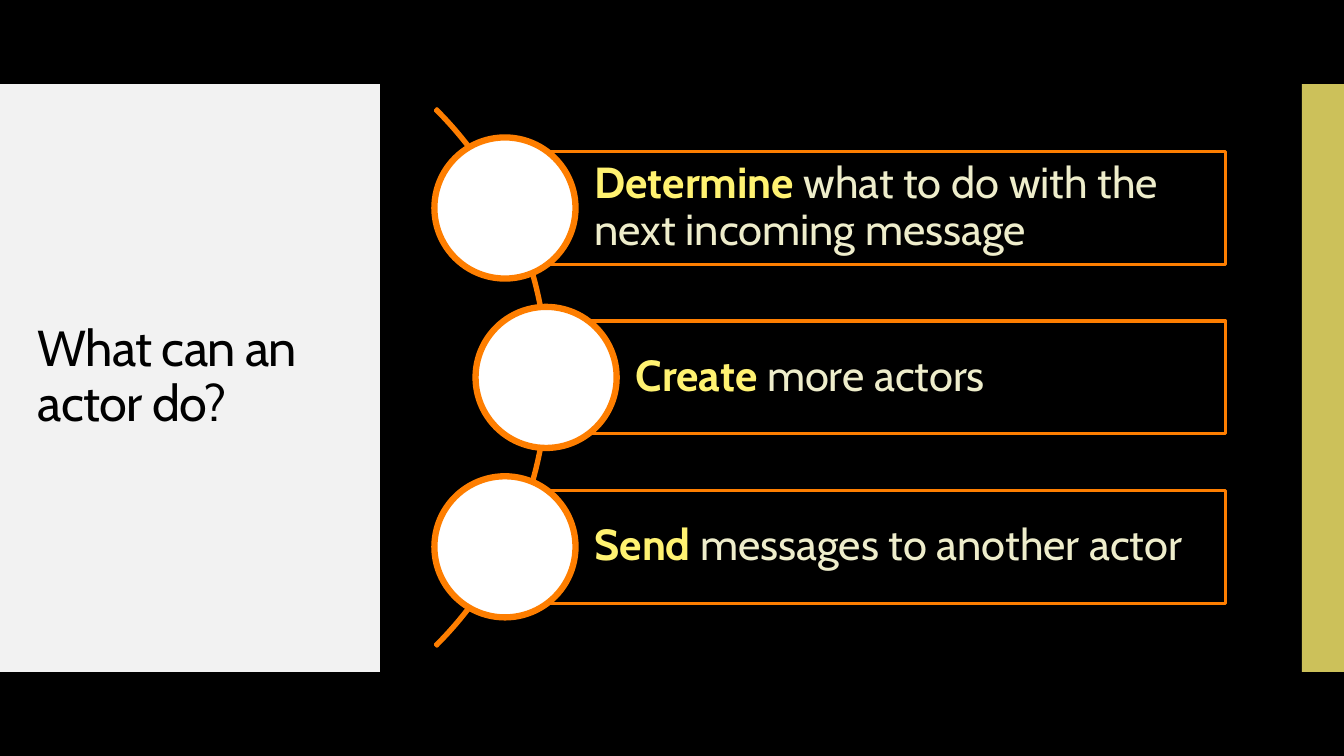
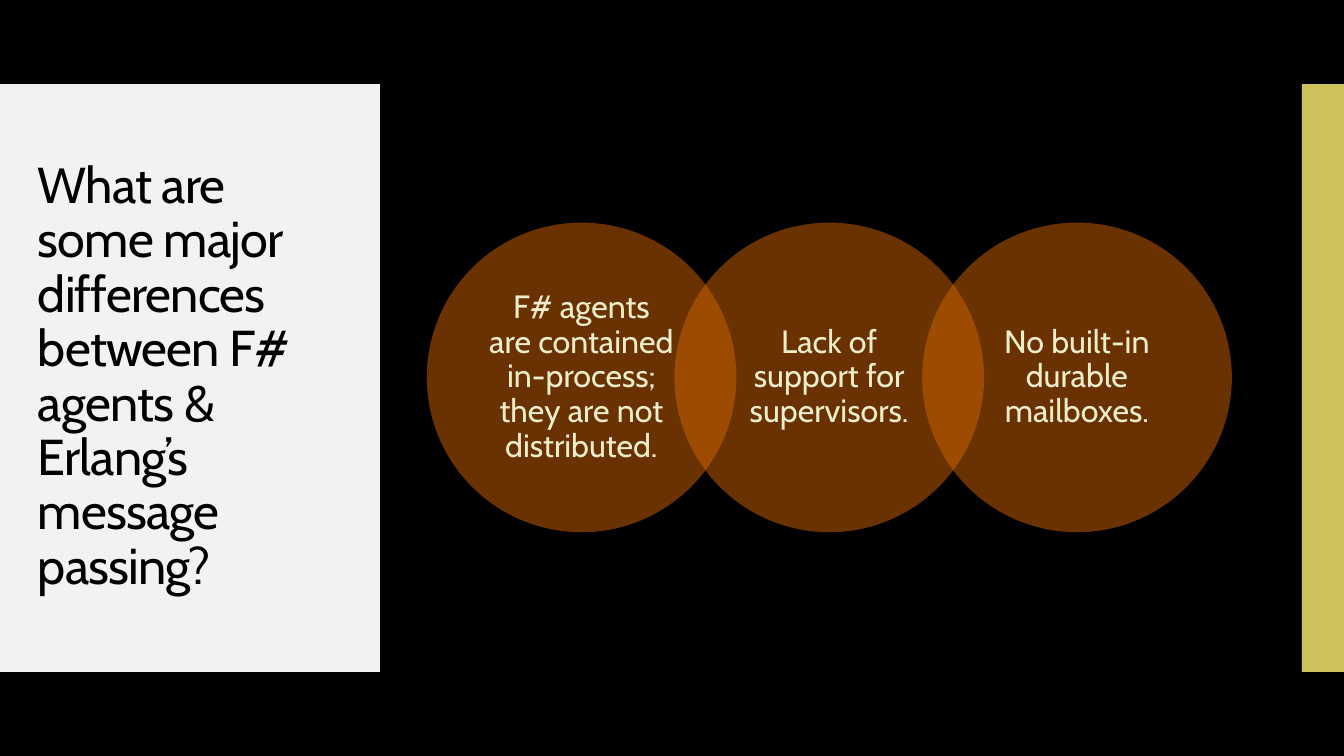
from dataclasses import dataclass

from pptx import Presentation
from pptx.dml.color import RGBColor
from pptx.enum import shapes, text
from pptx.oxml import ns, xmlchemy
from pptx.util import Pt


@dataclass(frozen=True)
class Theme:
    font: str = "Cabin"
    black: str = "000000"
    white: str = "FFFFFF"
    yellow: str = "FFF271"
    cream: str = "EEEDCB"
    orange: str = "FE7E00"
    rust: str = "D26400"
    title_size: float = 36
    row_size: float = 31
    disc_size: float = 23
    thin: float = 2.25
    thick: float = 4.5


THEME = Theme()
WIDTH, HEIGHT = 960, 540
MIDDLE = 269.6
BAND_TOP, BAND_HEIGHT = 60, 420
PANEL_WIDTH, STRIPE_WIDTH = 271.4, 30

ACTIONS = [
    ("Determine ", "what to do with the next incoming message"),
    ("Create ", "more actors"),
    ("Send ", "messages to another actor"),
]
DIFFERENCES = [
    "F# agents are contained in-process; they are not distributed.",
    "Lack of support for supervisors.",
    "No built-in durable mailboxes.",
]


def add_figure(slide, preset, box, fill=None, opacity=100, line=None, weight=0):
    figure = slide.shapes.add_shape(preset, *map(Pt, box))
    figure.shadow.inherit = False
    if fill:
        figure.fill.solid()
        figure.fill.fore_color.rgb = RGBColor.from_string(fill)
        if opacity < 100:
            tint = figure._element.spPr.find(".//" + ns.qn("a:srgbClr"))
            alpha = xmlchemy.OxmlElement("a:alpha")
            alpha.set("val", str(opacity * 1000))
            tint.append(alpha)
    else:
        figure.fill.background()
    if line:
        figure.line.color.rgb = RGBColor.from_string(line)
        figure.line.width = Pt(weight)
    else:
        figure.line.fill.background()
    return figure


def write(holder, runs, size, insets, align=text.PP_ALIGN.LEFT, tracking=0):
    frame = holder.text_frame
    frame.word_wrap = True
    frame.vertical_anchor = text.MSO_ANCHOR.MIDDLE
    (frame.margin_left, frame.margin_top,
     frame.margin_right, frame.margin_bottom) = map(Pt, insets)
    paragraph = frame.paragraphs[0]
    paragraph.alignment = align
    paragraph.line_spacing = 0.9
    for words, color, bold in runs:
        run = paragraph.add_run()
        run.text = words
        run.font.name = THEME.font
        run.font.size = Pt(size)
        run.font.bold = bold
        run.font.color.rgb = RGBColor.from_string(color)
        if tracking:
            run.font._element.set("spc", str(round(tracking * 100)))


def add_titled_slide(deck, title):
    slide = deck.slides.add_slide(deck.slide_layouts[6])
    slide.background.fill.solid()
    slide.background.fill.fore_color.rgb = RGBColor.from_string(THEME.black)
    bands = [(0, PANEL_WIDTH, THEME.white, 95),
             (WIDTH - STRIPE_WIDTH, STRIPE_WIDTH, THEME.yellow, 80)]
    for left, width, color, opacity in bands:
        add_figure(slide, shapes.MSO_SHAPE.RECTANGLE,
                   (left, BAND_TOP, width, BAND_HEIGHT), color, opacity)
    heading = slide.shapes.add_textbox(*map(Pt, (20, 88.6, 232, 362)))
    write(heading, [(title, THEME.black, False)], THEME.title_size,
          (7.2, 3.6, 7.2, 3.6), tracking=-0.6)
    return slide


def add_arc(slide, center, radius):
    arc = add_figure(slide, shapes.MSO_SHAPE.BLOCK_ARC,
                     (center - radius, MIDDLE - radius, 2 * radius, 2 * radius),
                     line=THEME.orange, weight=THEME.thin)
    for index, value in enumerate((189, 27, 0.003)):
        arc.adjustments[index] = value


def add_action_row(slide, center_x, center_y, action):
    knob, height, right = 100.8, 80.6, 875.5
    lead, rest = action
    row = add_figure(slide, shapes.MSO_SHAPE.RECTANGLE,
                     (center_x, center_y - height / 2, right - center_x, height),
                     line=THEME.orange, weight=THEME.thin)
    write(row, [(lead, THEME.yellow, True), (rest, THEME.cream, False)],
          THEME.row_size, (64, 6.5, 6.5, 6.5))
    add_figure(slide, shapes.MSO_SHAPE.OVAL,
               (center_x - knob / 2, center_y - knob / 2, knob, knob),
               THEME.white, line=THEME.orange, weight=THEME.thick)


def add_disc(slide, left, diameter, words):
    disc = add_figure(slide, shapes.MSO_SHAPE.OVAL,
                      (left, MIDDLE - diameter / 2, diameter, diameter),
                      THEME.rust, 50)
    write(disc, [(words, THEME.cream, False)], THEME.disc_size,
          (12.2, 2.2, 12.2, 2.2), text.PP_ALIGN.CENTER)


def build_actions(deck):
    slide = add_titled_slide(deck, "What can an actor do?")
    add_arc(slide, center=120.2, radius=271.4)
    pitch = 121
    for index, (center_x, action) in enumerate(zip((360.7, 390.1, 360.7), ACTIONS)):
        add_action_row(slide, center_x, MIDDLE + (index - 1) * pitch, action)


def build_differences(deck):
    slide = add_titled_slide(
        deck,
        "What are some major differences between F# agents & Erlang’s message passing?")
    diameter = 221.2
    for index, words in enumerate(DIFFERENCES):
        add_disc(slide, 304.8 + index * 0.8 * diameter, diameter, words)


def main():
    deck = Presentation()
    deck.slide_width, deck.slide_height = Pt(WIDTH), Pt(HEIGHT)
    build_actions(deck)
    build_differences(deck)
    deck.save("out.pptx")


if __name__ == "__main__":
    main()
